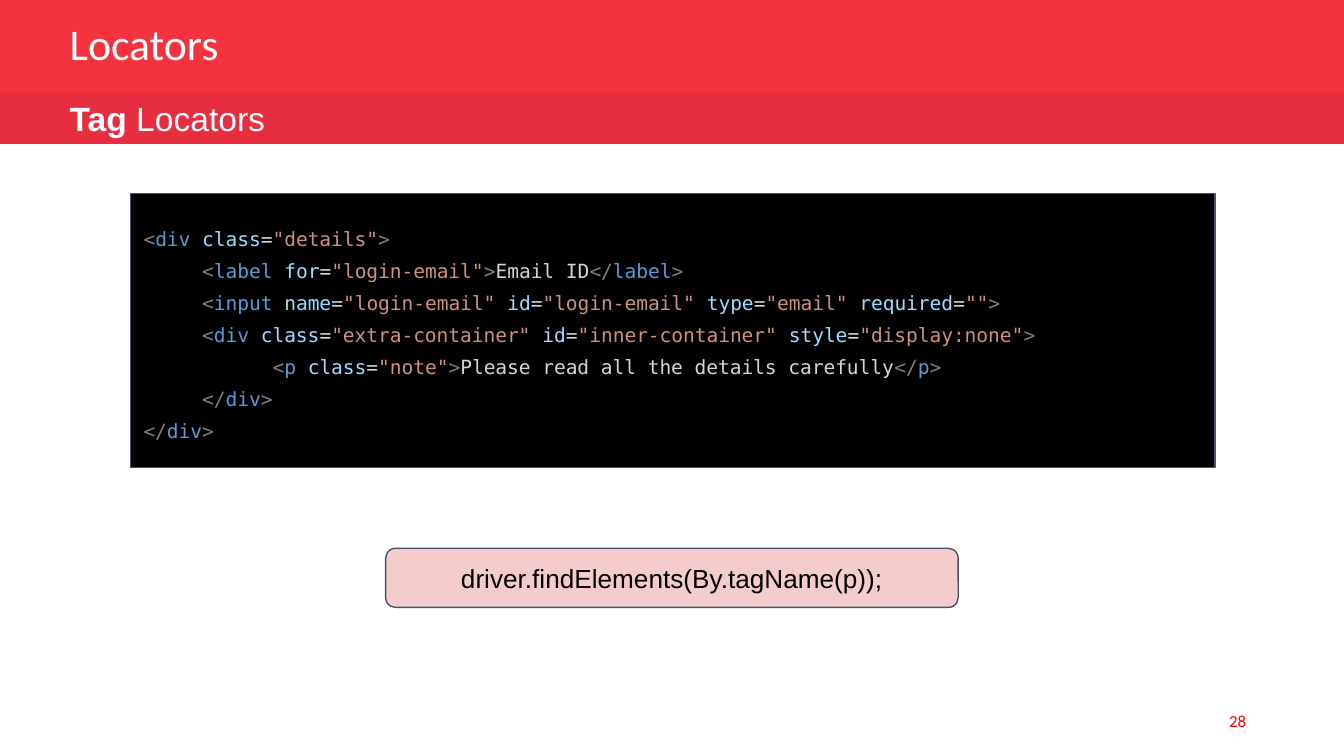
"""Build the Tag Locators slide with its HTML example and matching call."""

from pptx import Presentation
from pptx.dml.color import RGBColor
from pptx.enum.shapes import MSO_SHAPE
from pptx.enum.text import MSO_ANCHOR, PP_ALIGN
from pptx.util import Inches, Pt

WHITE = RGBColor(0xFF, 0xFF, 0xFF)
BLACK = RGBColor(0x00, 0x00, 0x00)
HEADER_RED = RGBColor(0xF5, 0x33, 0x3F)
SUBHEADER_RED = RGBColor(0xE7, 0x2D, 0x40)
NUMBER_RED = RGBColor(0xFF, 0x00, 0x00)
PALE_RED = RGBColor(0xF4, 0xCC, 0xCC)
OUTLINE = RGBColor(0x44, 0x54, 0x6A)
BRACKET = RGBColor(0x80, 0x80, 0x80)
TAG_NAME = RGBColor(0x56, 0x9C, 0xD6)
ATTRIBUTE = RGBColor(0x9C, 0xDC, 0xFE)
STRING = RGBColor(0xCE, 0x91, 0x78)
PLAIN = RGBColor(0xD4, 0xD4, 0xD4)


def open_tag(name, attributes):
    """Return the coloured pieces of an opening tag."""
    pieces = [("<", BRACKET), (name, TAG_NAME)]
    for key, value in attributes.items():
        pieces += [(f" {key}", ATTRIBUTE), ("=", PLAIN), (f'"{value}"', STRING)]
    return pieces + [(">", BRACKET)]


def close_tag(name):
    """Return the coloured pieces of a closing tag."""
    return [("</", BRACKET), (name, TAG_NAME), (">", BRACKET)]


def indented(spaces, pieces):
    """Put leading spaces before the pieces of a code line."""
    return [(" " * spaces, PLAIN)] + pieces


def code_lines():
    """Return the HTML example as lines of coloured pieces."""
    email_input = {"name": "login-email", "id": "login-email",
                   "type": "email", "required": ""}
    container = {"class": "extra-container", "id": "inner-container",
                 "style": "display:none"}
    return [
        open_tag("div", {"class": "details"}),
        indented(5, open_tag("label", {"for": "login-email"})
                 + [("Email ID", PLAIN)] + close_tag("label")),
        indented(5, open_tag("input", email_input)),
        indented(5, open_tag("div", container)),
        indented(11, open_tag("p", {"class": "note"})
                 + [("Please read all the details carefully", PLAIN)]
                 + close_tag("p")),
        indented(5, close_tag("div")),
        close_tag("div"),
    ]


def add_box(slide, kind, bounds, fill, line=None):
    """Add a filled shape with an optional thin outline."""
    shape = slide.shapes.add_shape(kind, *map(Inches, bounds))
    shape.shadow.inherit = False
    shape.fill.solid()
    shape.fill.fore_color.rgb = fill
    if line is None:
        shape.line.fill.background()
    else:
        shape.line.color.rgb = line
        shape.line.width = Pt(0.75)
    return shape


def write_lines(shape, lines, font_name, size, align=PP_ALIGN.LEFT,
                spacing=1.0, margin=0.1):
    """Write lines of (text, colour) pieces into a shape."""
    frame = shape.text_frame
    frame.word_wrap = True
    frame.vertical_anchor = MSO_ANCHOR.MIDDLE
    frame.margin_left = frame.margin_right = Inches(0.1)
    frame.margin_top = frame.margin_bottom = Inches(margin)
    for index, pieces in enumerate(lines):
        paragraph = frame.add_paragraph() if index else frame.paragraphs[0]
        paragraph.alignment = align
        paragraph.line_spacing = spacing
        for text, color in pieces:
            run = paragraph.add_run()
            run.text = text
            run.font.name = font_name
            run.font.size = Pt(size)
            run.font.color.rgb = color


def add_label(slide, bounds, pieces, font_name, size, **layout):
    """Add a one-line text box and return it."""
    label = slide.shapes.add_textbox(*map(Inches, bounds))
    write_lines(label, [pieces], font_name, size, **layout)
    return label


def main():
    """Build and save the slide."""
    presentation = Presentation()
    presentation.slide_width = Inches(10)
    presentation.slide_height = presentation.slide_width * 9 // 16
    slide = presentation.slides.add_slide(presentation.slide_layouts[6])

    add_box(slide, MSO_SHAPE.RECTANGLE, (0, 0, 10, 0.7), HEADER_RED)
    add_label(slide, (7.12, 5.21, 2.25, 0.3), [("28", NUMBER_RED)],
              "Calibri", 9, align=PP_ALIGN.RIGHT, margin=0.05)
    add_box(slide, MSO_SHAPE.RECTANGLE, (0, 0.69, 10, 0.38), SUBHEADER_RED)

    code = add_box(slide, MSO_SHAPE.RECTANGLE, (0.97, 1.44, 8.07, 2.04),
                   BLACK, OUTLINE)
    write_lines(code, code_lines(), "DejaVu Sans Mono", 10.5, spacing=1.36)

    call = add_box(slide, MSO_SHAPE.ROUNDED_RECTANGLE,
                   (2.87, 4.08, 4.26, 0.44), PALE_RED, OUTLINE)
    write_lines(call, [[("driver.findElements(By.tagName(p));", BLACK)]],
                "Arial", 14, align=PP_ALIGN.CENTER)

    add_label(slide, (0.42, 0.14, 4.69, 0.44), [("Locators", WHITE)],
              "Calibri", 23.4, spacing=0.8, margin=0.05)
    subtitle = add_label(slide, (0.42, 0.69, 2.97, 0.38),
                         [("Tag", WHITE), (" Locators", WHITE)], "Arial", 18)
    subtitle.text_frame.paragraphs[0].runs[0].font.bold = True

    presentation.save("out.pptx")


if __name__ == "__main__":
    main()
